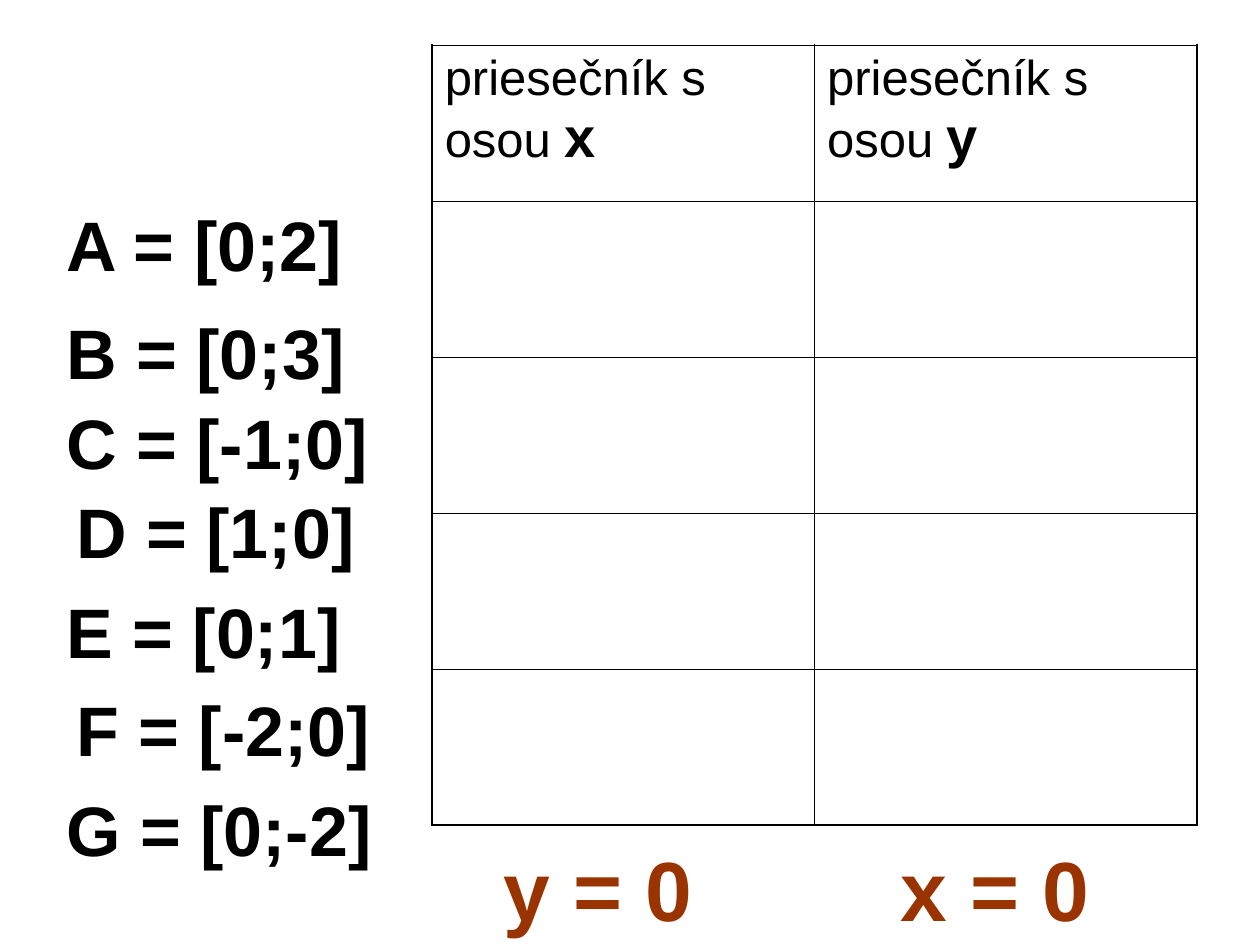
"""Build a slide of points beside a table of axis intercepts."""
from lxml.etree import SubElement as Sub
from pptx import Presentation
from pptx.dml.color import RGBColor
from pptx.enum.text import MSO_AUTO_SIZE as Auto
from pptx.oxml.ns import qn
from pptx.util import Inches, Pt


def add_run(para, text, size, bold=True, color="000000"):
    run = para.add_run()
    run.text = text
    font = run.font
    font.name, font.size, font.bold = "Arial", Pt(size), bold
    font.color.rgb = RGBColor.from_string(color)


def add_text(slide, text, left, top, width, height, size, color="000000"):
    box = slide.shapes.add_textbox(Inches(left), Inches(top), Inches(width), Inches(height))
    frame = box.text_frame
    frame.word_wrap = True
    frame.auto_size = Auto.SHAPE_TO_FIT_TEXT
    add_run(frame.paragraphs[0], text, size, color=color)


prs = Presentation()
prs.slide_width, prs.slide_height = Inches(10), Inches(7.5)
slide = prs.slides.add_slide(prs.slide_layouts[6])

points = [
    ("A = [0;2]", 0.43, 1.55, 2.52),
    ("B = [0;3]", 0.43, 2.41, 2.52),
    ("C = [-1;0]", 0.43, 3.12, 2.76),
    ("D = [1;0]", 0.51, 3.83, 2.52),
    ("E = [0;1]", 0.43, 4.62, 2.52),
    ("F = [-2;0]", 0.51, 5.4, 2.76),
    ("G = [0;-2]", 0.43, 6.19, 2.76),
]
for text, left, top, width in points:
    add_text(slide, text, left, top, width, 0.77, 40)

rows, cols = 5, 2
frame = slide.shapes.add_table(rows, cols, Inches(3.43), Inches(0.36), Inches(6.07), Inches(6.19))
table = frame.table
table.first_row = table.horz_banding = False
for row in range(rows):
    for col in range(cols):
        cell = table.cell(row, col)
        cell.fill.background()
        props = cell._tc.get_or_add_tcPr()
        outer = {"L": col == 0, "R": col == cols - 1, "T": row == 0, "B": row == rows - 1}
        for pos, (side, edge) in enumerate(outer.items()):
            line = Sub(props, qn(f"a:ln{side}"), w=str(Pt(1.08 if edge else 0.45)))
            Sub(Sub(line, qn("a:solidFill")), qn("a:srgbClr"), val="000000")
            props.insert(pos, line)

for col, axis in enumerate("xy"):
    para = table.cell(0, col).text_frame.paragraphs[0]
    add_run(para, "priesečník s osou ", 28, False)
    add_run(para, axis, 32)

for text, left in [("x = 0", 7.05), ("y = 0", 3.9)]:
    add_text(slide, text, left, 6.6, 1.97, 0.9, 48, "993300")

prs.save("out.pptx")
